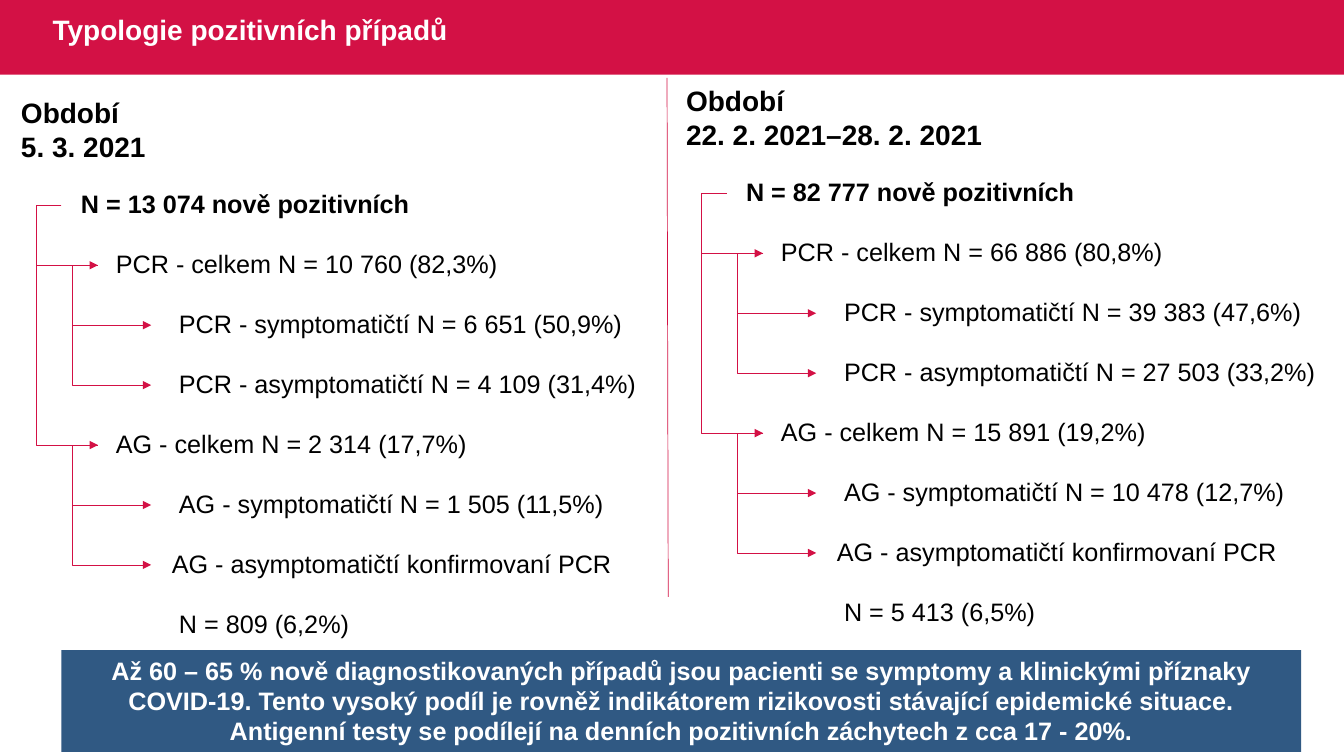
"""Builds the slide on the typology of positive cases."""
import lxml.etree
import pptx
import pptx.util
import pptx.dml.color
import pptx.enum.shapes
import pptx.enum.text
import pptx.oxml.ns

Cm = pptx.util.Cm
Pt = pptx.util.Pt
qn = pptx.oxml.ns.qn
PP_ALIGN = pptx.enum.text.PP_ALIGN
ANCHOR = pptx.enum.text.MSO_ANCHOR
CONNECTOR = pptx.enum.shapes.MSO_CONNECTOR

RED, BLUE, WHITE, BLACK = "D31145", "305983", "FFFFFF", "000000"
NO_STYLE = "{2D5ABB26-0587-4C30-8999-92F81FD0307C}"

TITLE = "Typologie pozitivních případů"
SUMMARY = (
    "Až 60 – 65 % nově diagnostikovaných případů jsou pacienti se symptomy a "
    "klinickými příznaky COVID-19. Tento vysoký podíl je rovněž indikátorem "
    "rizikovosti stávající epidemické situace. Antigenní testy se podílejí na "
    "denních pozitivních záchytech z cca 17 - 20%."
)
LABELS = [
    "N = {} nově pozitivních",
    "PCR - celkem N = {}",
    "PCR - symptomatičtí N = {}",
    "PCR - asymptomatičtí N = {}",
    "AG - celkem N = {}",
    "AG - symptomatičtí N = {}",
    "AG - asymptomatičtí konfirmovaní PCR",
    "N = {}",
]
INDENTS = [0, 0.88, 2.47, 2.47, 0.88, 2.47, 2.29, 2.47]
PERIODS = [
    {"date": "5. 3. 2021", "left": 2.01, "top": 4.39, "width": 3.68,
     "values": ["13 074", "10 760 (82,3%)", "6 651 (50,9%)", "4 109 (31,4%)",
                "2 314 (17,7%)", "1 505 (11,5%)", "", "809 (6,2%)"]},
    {"date": "22. 2. 2021–28. 2. 2021", "left": 18.77, "top": 4.09, "width": 8.03,
     "values": ["82 777", "66 886 (80,8%)", "39 383 (47,6%)", "27 503 (33,2%)",
                "15 891 (19,2%)", "10 478 (12,7%)", "", "5 413 (6,5%)"]},
]
TRUNK = (-0.46, -1.09, 0.46)
BRANCH = (0.46, -0.18, 1.8)
ARROWS = [(0, 4, TRUNK), (1, 2, BRANCH), (1, 3, BRANCH),
          (4, 5, BRANCH), (4, 6, BRANCH), (0, 1, TRUNK)]
ROW_H, TABLE_W = 1.51, 15.27


def color(value):
    return pptx.dml.color.RGBColor.from_string(value)


def style(tf, size, rgb, bold):
    for p in tf.paragraphs:
        for r in p.runs:
            r.font.name = "Arial"
            r.font.size = Pt(size)
            r.font.bold = bold
            r.font.color.rgb = color(rgb)


def add_bar(s, left, top, width, height, fill):
    sp = s.shapes.add_shape(pptx.enum.shapes.MSO_SHAPE.RECTANGLE,
                            Cm(left), Cm(top), Cm(width), Cm(height))
    sp.shadow.inherit = False
    sp.fill.solid()
    sp.fill.fore_color.rgb = color(fill)
    sp.line.fill.background()
    return sp


def add_line(s, kind, x1, y1, x2, y2):
    line = s.shapes.add_connector(kind, Cm(x1), Cm(y1), Cm(x2), Cm(y2))
    line.line.color.rgb = color(RED)
    line.line.width = Pt(0.5)
    lxml.etree.SubElement(line.element.spPr, qn("a:effectLst"))
    return line


def add_arrow(s, x1, bend, x2, y1, y2):
    spPr = add_line(s, CONNECTOR.ELBOW, x1, y1, x2, y2).element.spPr
    adjust = round((bend - x1) / (x2 - x1) * 100000)
    lxml.etree.SubElement(spPr.find(".//" + qn("a:avLst")), qn("a:gd"),
                          name="adj1", fmla=f"val {adjust}")
    lxml.etree.SubElement(spPr.find(qn("a:ln")), qn("a:tailEnd"), type="triangle")


def add_period(s, period):
    left, top = period["left"], period["top"]
    box = s.shapes.add_textbox(Cm(left - 1.73), Cm(top - 2.11),
                               Cm(period["width"]), Cm(1.96))
    tf = box.text_frame
    tf.word_wrap = False
    tf.text = "Období\n" + period["date"]
    style(tf, 20, BLACK, True)

    frame = s.shapes.add_table(len(LABELS), 1, Cm(left), Cm(top),
                               Cm(TABLE_W), Cm(ROW_H * len(LABELS)))
    table = frame.table
    table.first_row = table.horz_banding = False
    frame.element.find(".//" + qn("a:tableStyleId")).text = NO_STYLE
    for i, (label, value, indent) in enumerate(zip(LABELS, period["values"], INDENTS)):
        cell = table.cell(i, 0)
        cell.fill.background()
        cell.vertical_anchor = ANCHOR.MIDDLE
        cell.margin_left = Cm(0.03 + indent)
        cell.margin_right = cell.margin_top = Cm(0.03)
        cell.margin_bottom = 0
        cell.text_frame.text = label.format(value)
        style(cell.text_frame, 18, BLACK, i == 0)

    for start, end, (x1, bend, x2) in ARROWS:
        y1, y2 = (top + (row + 0.5) * ROW_H + 0.03 for row in (start, end))
        add_arrow(s, left + x1, left + bend, left + x2, y1, y2)


def main():
    prs = pptx.Presentation()
    prs.slide_width, prs.slide_height = Cm(33.87), Cm(19.05)
    s = prs.slides.add_slide(prs.slide_layouts[5])

    title = s.shapes.title
    title.left, title.top, title.width, title.height = Cm(1.07), Cm(0), Cm(17.7), Cm(1.6)
    tf = title.text_frame
    tf.text = TITLE
    tf.auto_size = pptx.enum.text.MSO_AUTO_SIZE.NONE
    tf.vertical_anchor = ANCHOR.MIDDLE
    tf.paragraphs[0].alignment = PP_ALIGN.LEFT
    tf.paragraphs[0].line_spacing = 0.9
    style(tf, 20, WHITE, True)
    header = add_bar(s, 0, 0, 33.87, 1.88, RED)
    title.element.addprevious(header.element)

    add_line(s, CONNECTOR.STRAIGHT, 16.81, 1.96, 16.84, 15.04)
    for period in PERIODS:
        add_period(s, period)

    tf = add_bar(s, 1.55, 16.38, 31.24, 2.57, BLUE).text_frame
    tf.word_wrap = True
    tf.vertical_anchor = ANCHOR.TOP
    tf.text = SUMMARY
    tf.paragraphs[0].alignment = PP_ALIGN.CENTER
    style(tf, 18, WHITE, True)
    prs.save("out.pptx")


if __name__ == "__main__":
    main()
